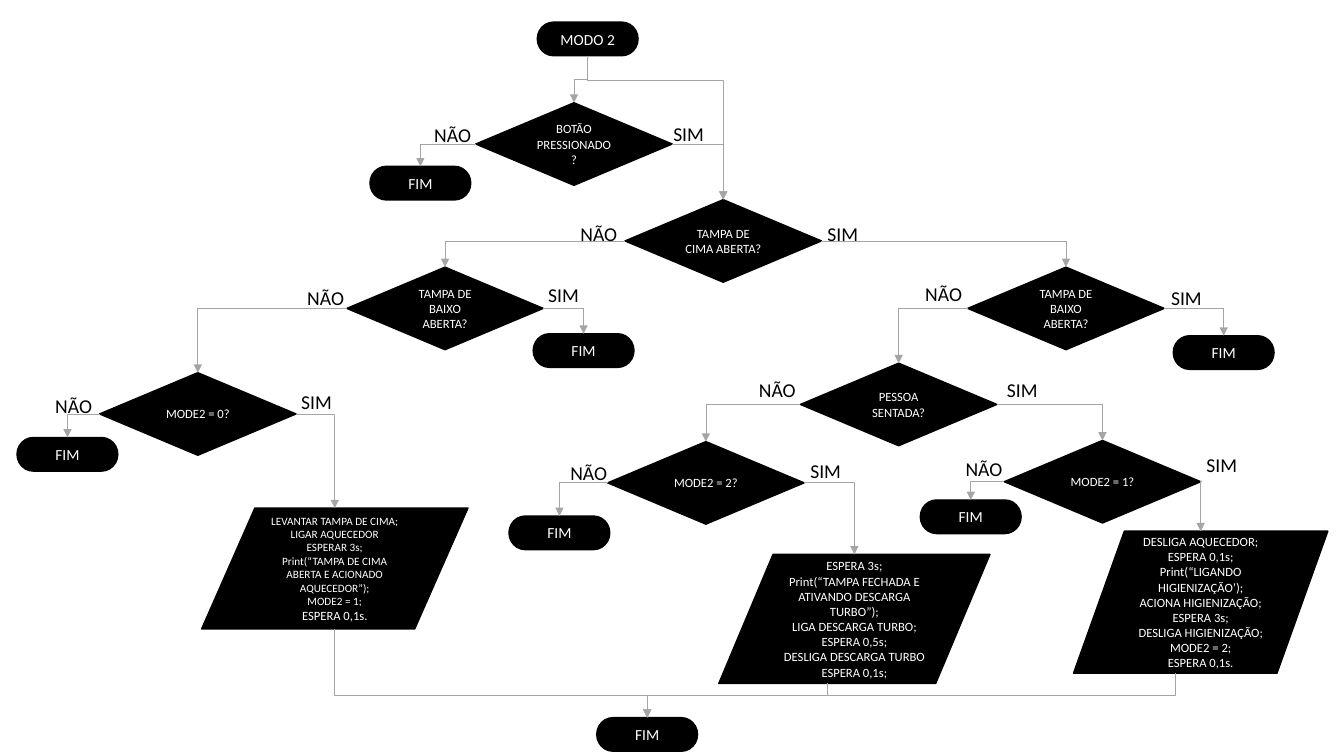
from dataclasses import dataclass

from lxml import etree
from pptx import Presentation
from pptx.dml.color import RGBColor
from pptx.enum.shapes import MSO_CONNECTOR, MSO_SHAPE
from pptx.enum.text import MSO_ANCHOR, PP_ALIGN
from pptx.oxml.ns import qn
from pptx.util import Pt

TERMINATOR = MSO_SHAPE.FLOWCHART_TERMINATOR
DECISION = MSO_SHAPE.FLOWCHART_DECISION
DATA = MSO_SHAPE.FLOWCHART_DATA
ELBOW = MSO_CONNECTOR.ELBOW
CENTER, LEFT = PP_ALIGN.CENTER, PP_ALIGN.LEFT
MIDDLE, TOP = MSO_ANCHOR.MIDDLE, MSO_ANCHOR.TOP


@dataclass(frozen=True)
class Theme:
    font: str = "Calibri"
    ink: RGBColor = RGBColor(0, 0, 0)
    paper: RGBColor = RGBColor(255, 255, 255)
    wire: RGBColor = RGBColor(0xA5, 0xA5, 0xA5)
    label_size: float = 14
    terminal_size: float = 11
    body_size: float = 9
    small_size: float = 8
    outline: float = 1
    wire_width: float = 0.5


THEME = Theme()
SLIDE_SIZE = (960, 540)
TERMINAL_SIZE = (72, 24)
DECISION_SIZE = (140.4, 59)
LABEL_SIZES = {"NÃO": (41, 24.5), "SIM": (36.7, 24.5)}

# Connection sites: share of width, share of height, site index
SITES = {
    "top": (0.5, 0, 0), "left": (0, 0.5, 1),
    "bottom": (0.5, 1, 2), "right": (1, 0.5, 3),
    "data top": (0.5, 0, 1), "data foot": (0.4, 1, 3),
    "data bottom": (0.5, 1, 4),
}

# Terminals: name -> (text, left, top)
TERMINALS = {
    "start": ("MODO 2", 383.8, 15.8),
    "finish": ("FIM", 426.3, 512.6),
    "button end": ("FIM", 264.3, 118.8),
    "left lid end": ("FIM", 380.9, 238.4),
    "right lid end": ("FIM", 838.1, 239.8),
    "mode 0 end": ("FIM", 12.2, 312.5),
    "mode 1 end": ("FIM", 657.4, 357.1),
    "mode 2 end": ("FIM", 363.6, 368.6),
}

# Decisions: name -> (text, left, top)
DECISIONS = {
    "button": ("BOTÃO PRESSIONADO?", 339.8, 73.4),
    "top lid": ("TAMPA DE CIMA ABERTA?", 446.4, 142.6),
    "left lid": ("TAMPA DE BAIXO ABERTA?", 247.7, 190.8),
    "right lid": ("TAMPA DE BAIXO ABERTA?", 691.2, 190.8),
    "seated": ("PESSOA SENTADA?", 571.7, 259.4),
    "mode 0": ("MODE2 = 0?", 71.1, 266.2),
    "mode 1": ("MODE2 = 1?", 717.3, 314.6),
    "mode 2": ("MODE2 = 2?", 434, 315.4),
}

# Actions: name -> (frame, main size, last line size, lines)
ACTIONS = {
    "lift lid": ((144, 362.9, 190.3, 86.4), THEME.small_size, THEME.body_size, [
        "LEVANTAR TAMPA DE CIMA;", "LIGAR AQUECEDOR", "ESPERAR 3s;",
        "Print(“TAMPA DE CIMA ABERTA E ACIONADO AQUECEDOR”);",
        "MODE2 = 1;", "ESPERA 0,1s."]),
    "clean": ((766.8, 379.4, 181.7, 101.5), THEME.body_size, THEME.body_size, [
        "DESLIGA AQUECEDOR;", "ESPERA 0,1s;", "Print(“LIGANDO HIGIENIZAÇÃO’);",
        "ACIONA HIGIENIZAÇÃO;", "ESPERA 3s;", "DESLIGA HIGIENIZAÇÃO;",
        "MODE2 = 2;", "ESPERA 0,1s."]),
    "turbo flush": ((513.4, 396, 193.7, 92.2), THEME.body_size, THEME.body_size, [
        "ESPERA 3s;", "Print(“TAMPA FECHADA E ATIVANDO DESCARGA TURBO”);",
        "LIGA DESCARGA TURBO;", "ESPERA 0,5s;", "DESLIGA DESCARGA TURBO",
        "ESPERA 0,1s;"]),
}

# Branches: (decision, answer, target, label left, label top)
BRANCHES = [
    ("button", "NÃO", "button end", 303.1, 84.2),
    ("button", "SIM", "top lid", 473.8, 83.5),
    ("top lid", "NÃO", "left lid", 407.5, 154.8),
    ("top lid", "SIM", "right lid", 583.9, 154.8),
    ("left lid", "NÃO", "mode 0", 212.4, 200.9),
    ("left lid", "SIM", "left lid end", 384.5, 198.7),
    ("right lid", "NÃO", "seated", 653.8, 198),
    ("right lid", "SIM", "right lid end", 829.4, 200.9),
    ("seated", "NÃO", "mode 2", 535, 266.4),
    ("seated", "SIM", "mode 1", 712.1, 266.4),
    ("mode 0", "NÃO", "mode 0 end", 32.4, 277.9),
    ("mode 0", "SIM", "lift lid", 208.1, 275),
    ("mode 1", "NÃO", "mode 1 end", 682.6, 322.6),
    ("mode 1", "SIM", "clean", 854.6, 319.7),
    ("mode 2", "NÃO", "mode 2 end", 400.3, 325.4),
    ("mode 2", "SIM", "turbo flush", 571.7, 324),
]

# Joins: (source, site, target, bend as share of the drop)
JOINS = [
    ("start", "bottom", "button", 0.5),
    ("start", "bottom", "top lid", 0.17),
    ("lift lid", "data bottom", "finish", 0.75),
    ("turbo flush", "data foot", "finish", 0.34),
    ("clean", "data foot", "finish", 0.5),
]


def apply_format(target, values):
    for name, value in values.items():
        setattr(target, name, value)


def write_lines(box, lines, sizes, color, align, frame_format):
    frame = box.text_frame
    apply_format(frame, frame_format)
    for index, (line, size) in enumerate(zip(lines, sizes)):
        para = frame.add_paragraph() if index else frame.paragraphs[0]
        para.alignment = align
        span = para.add_run()
        span.text = line
        apply_format(span.font, {"name": THEME.font, "size": Pt(size)})
        span.font.color.rgb = color


def add_node(page, kind, frame, lines, sizes):
    node = page.shapes.add_shape(kind, *map(Pt, frame))
    node.shadow.inherit = False
    node.fill.solid()
    node.fill.fore_color.rgb = THEME.ink
    node.line.color.rgb = THEME.ink
    node.line.width = Pt(THEME.outline)
    write_lines(node, lines, sizes, THEME.paper, CENTER,
                {"word_wrap": True, "vertical_anchor": MIDDLE})
    return node


def add_label(page, text, left, top):
    box = page.shapes.add_textbox(*map(Pt, (left, top, *LABEL_SIZES[text])))
    write_lines(box, [text], [THEME.label_size], THEME.ink, LEFT,
                {"word_wrap": False, "vertical_anchor": TOP})


def locate(node, site):
    across, down, _ = SITES[site]
    return node.left + int(node.width * across), node.top + int(node.height * down)


def add_arrow(page, source, source_site, target, target_site, bend=None):
    """One bend when bend is None; otherwise down, across and down again."""
    start_x, start_y = locate(source, source_site)
    end_x, end_y = locate(target, target_site)
    width, height = abs(end_x - start_x), end_y - start_y
    rightward = end_x > start_x
    if bend is None:
        left, top = min(start_x, end_x), start_y
        turn = {} if rightward else {"rot": "10800000", "flipV": "1"}
    else:  # the frame lies on its side and is turned a quarter
        left = (start_x + end_x - height) // 2
        top = (start_y + end_y - width) // 2
        width, height = height, width
        turn = {"rot": "16200000", "flipH": "1"} if rightward else {"rot": "5400000"}
    arrow = page.shapes.add_connector(ELBOW, left, top, left + width, top + height)
    arrow.line.color.rgb = THEME.wire
    arrow.line.width = Pt(THEME.wire_width)

    # Bend, turn, arrowhead and glue
    properties = arrow.element.spPr
    apply_turn = properties.find(qn("a:xfrm")).set
    for name, value in turn.items():
        apply_turn(name, value)
    geometry = properties.find(qn("a:prstGeom"))
    if bend is None:
        geometry.set("prst", "bentConnector2")
    else:
        etree.SubElement(geometry.find(qn("a:avLst")), qn("a:gd"),
                         name="adj1", fmla=f"val {round(bend * 100000)}")
    etree.SubElement(properties.find(qn("a:ln")), qn("a:tailEnd"), type="triangle")
    etree.SubElement(properties, qn("a:effectLst"))
    glue = arrow.element.find(".//" + qn("p:cNvCxnSpPr"))
    for tag, node, site in (("a:stCxn", source, source_site),
                            ("a:endCxn", target, target_site)):
        etree.SubElement(glue, qn(tag), id=str(node.shape_id), idx=str(SITES[site][2]))


def main():
    deck = Presentation()
    deck.slide_width, deck.slide_height = map(Pt, SLIDE_SIZE)
    page = deck.slides.add_slide(deck.slide_layouts[6])

    # Flowchart nodes
    nodes = {}
    for group, kind, size, type_size in (
            (TERMINALS, TERMINATOR, TERMINAL_SIZE, THEME.terminal_size),
            (DECISIONS, DECISION, DECISION_SIZE, THEME.body_size)):
        for name, (text, left, top) in group.items():
            nodes[name] = add_node(page, kind, (left, top, *size), [text], [type_size])
    for name, (frame, size, last_size, lines) in ACTIONS.items():
        sizes = [size] * (len(lines) - 1) + [last_size]
        nodes[name] = add_node(page, DATA, frame, lines, sizes)

    # Arrows and answers
    for source, site, target, bend in JOINS:
        add_arrow(page, nodes[source], site, nodes[target], "top", bend)
    for source, answer, target, left, top in BRANCHES:
        side = "left" if answer == "NÃO" else "right"
        entry = "data top" if target in ACTIONS else "top"
        add_arrow(page, nodes[source], side, nodes[target], entry)
        add_label(page, answer, left, top)

    deck.save("out.pptx")


main()
